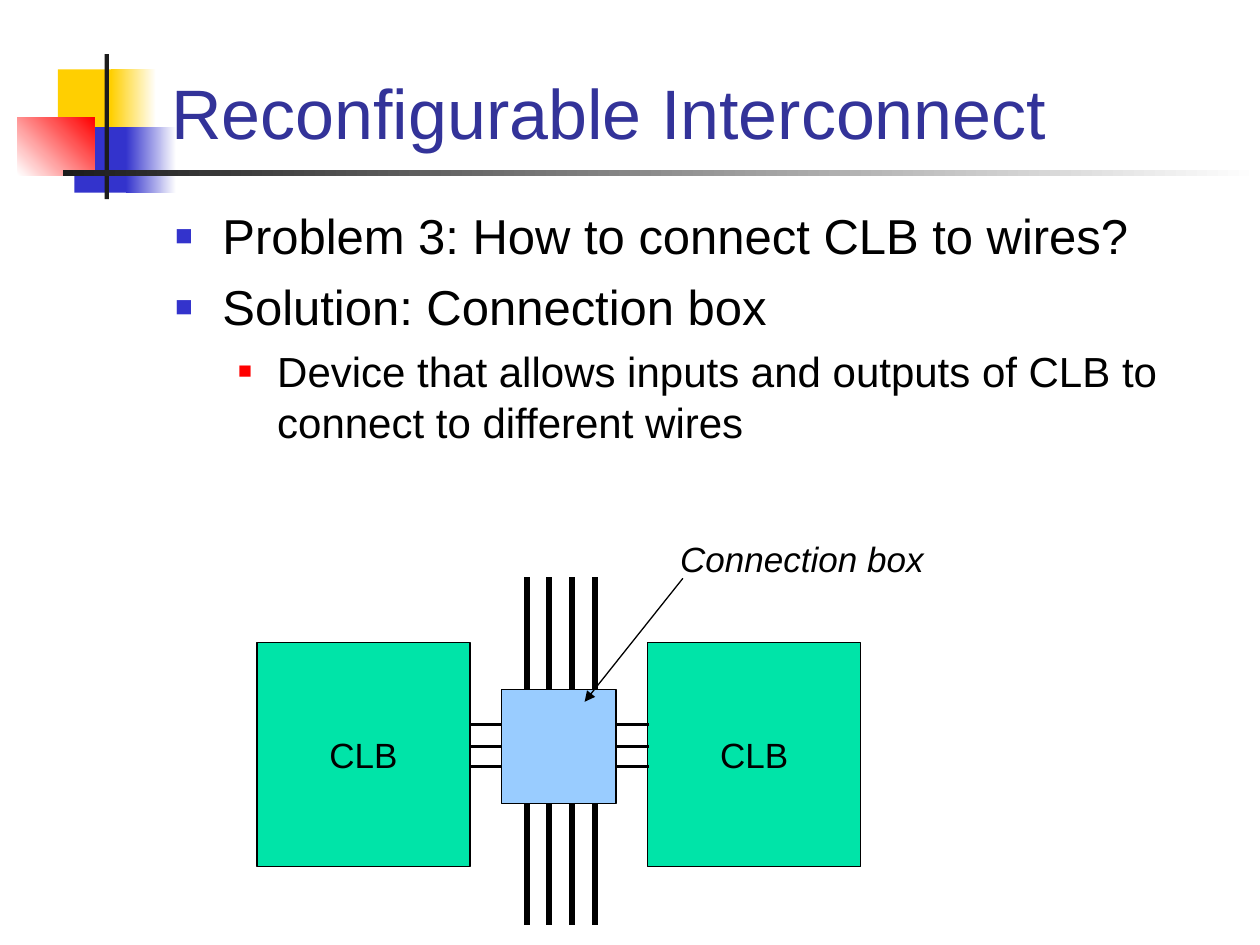
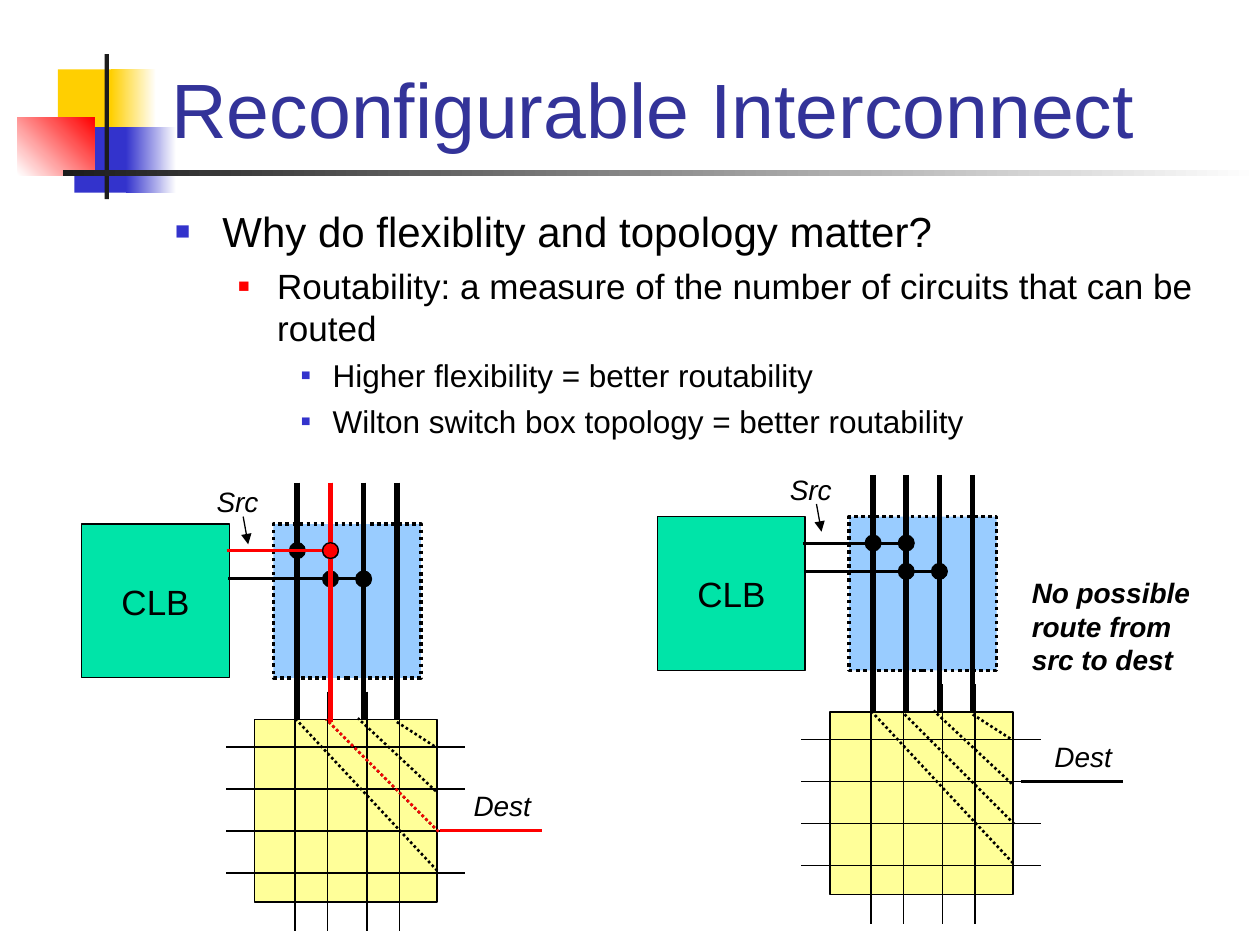
from dataclasses import dataclass
from typing import Any, Optional

from lxml import etree
from pptx import Presentation
from pptx import util as u
from pptx.dml.color import RGBColor
from pptx.enum import dml, shapes, text
from pptx.oxml.ns import qn

FONT = "Arial"
COLORS = {
    "black": "000000", "white": "FFFFFF", "title": "333399",
    "gold": "FFCF01", "blue": "3333CC", "red": "FF0000", "ink": "1C1C1C",
    "clb": "00E4A8", "box": "99CCFF", "switch": "FFFF99",
}

# The slide is a grid of 100 columns by 75 rows
prs = Presentation()
prs.slide_width, prs.slide_height = u.Inches(10), u.Inches(7.5)
COL, ROW = prs.slide_width / 100, prs.slide_height / 75


@dataclass(frozen=True)
class Box:
    x: float
    y: float
    w: float
    h: float

    def emu(self) -> tuple[int, ...]:
        return round(self.x * COL), round(self.y * ROW), round(self.w * COL), round(self.h * ROW)


@dataclass(frozen=True)
class Line:
    x1: float
    y1: float
    x2: float
    y2: float
    width: float = 1
    dash: Optional[Any] = None
    arrow: bool = False


@dataclass(frozen=True)
class Band:
    box: Box
    start: str
    end: Optional[str] = None
    angle: float = 0


@dataclass(frozen=True)
class Level:
    margin: float
    indent: float
    bullet_color: str
    bullet_pct: int


@dataclass(frozen=True)
class Item:
    words: str
    level: int
    size: float
    before: float


BANDS = [
    Band(Box(4.6, 5.5, 4.8, 5.2), "gold"),
    Band(Box(8.8, 5.5, 3.6, 5.2), "gold", "white"),
    Band(Box(5.9, 10.1, 4.6, 5.2), "blue"),
    Band(Box(10, 10.1, 4, 5.2), "blue", "white"),
    Band(Box(1.4, 9.3, 6.1, 4.6), "white", "red", 45),
    Band(Box(8.3, 4.3, 0.35, 11.5), "ink"),
    Band(Box(5, 13.5, 95, 0.47), "ink", "white"),
]
LEVELS = [
    Level(3.75, -3.75, "blue", 60),
    Level(8.1, -3.1, "red", 55),
    Level(12.5, -2.5, "blue", 50),
]


def rgb(name: str) -> RGBColor:
    return RGBColor.from_string(COLORS[name])


def add_run(p: Any, words: str, size: float, color: str = "black",
            bold: bool = False, italic: bool = False) -> None:
    r = p.add_run()
    r.text = words
    f = r.font
    f.name, f.size, f.bold, f.italic = FONT, u.Pt(size), bold, italic
    f.color.rgb = rgb(color)


def add_block(target: Any, box: Box, fill: str, width: float = 0.75,
              kind: Any = shapes.MSO_SHAPE.RECTANGLE, label: str = "") -> Any:
    sp = target.add_shape(kind, *box.emu())
    sp.shadow.inherit = False
    sp.fill.solid()
    sp.fill.fore_color.rgb = rgb(fill)
    if width:
        sp.line.color.rgb = rgb("black")
        sp.line.width = u.Pt(width)
    else:
        sp.line.fill.background()
    if label:
        tf = sp.text_frame
        tf.word_wrap = False
        tf.vertical_anchor = text.MSO_ANCHOR.MIDDLE
        p = tf.paragraphs[0]
        p.alignment = text.PP_ALIGN.CENTER
        add_run(p, label, 20)
    return sp


def add_line(target: Any, line: Line, color: str = "black") -> Any:
    cx = target.add_connector(
        shapes.MSO_CONNECTOR.STRAIGHT, round(line.x1 * COL), round(line.y1 * ROW),
        round(line.x2 * COL), round(line.y2 * ROW))
    cx.line.color.rgb = rgb(color)
    cx.line.width = u.Pt(line.width)
    if line.dash:
        cx.line.dash_style = line.dash
    pr = cx.element.spPr
    if line.arrow:
        etree.SubElement(pr.find(qn("a:ln")), qn("a:tailEnd"), type="triangle")
    etree.SubElement(pr, qn("a:effectLst"))
    return cx


def add_note(target: Any, box: Box, words: str, size: float = 16, bold: bool = False) -> None:
    tf = target.add_textbox(*box.emu()).text_frame
    tf.word_wrap = True
    add_run(tf.paragraphs[0], words, size, bold=bold, italic=True)


def add_bands(s: Any) -> None:
    """Draw the corner ornament and move it behind everything on the master."""
    tree = prs.slide_master.shapes.element
    for i, band in enumerate(BANDS):
        sp = add_block(s.shapes, band.box, band.start, width=0)
        if band.end:
            sp.fill.gradient()
            sp.fill.gradient_angle = band.angle
            for stop, name in zip(sp.fill.gradient_stops, (band.start, band.end)):
                stop.color.rgb = rgb(name)
        sp.element.nvSpPr.cNvPr.set("id", str(50 + i))
        tree.insert(2 + i, sp.element)


def place(sp: Any, box: Box) -> Any:
    sp.left, sp.top, sp.width, sp.height = box.emu()
    tf = sp.text_frame
    tf.word_wrap = True
    tf.auto_size = text.MSO_AUTO_SIZE.NONE
    return tf


def add_bullet(p: Any, level: Level) -> None:
    pr = p._p.get_or_add_pPr()
    pr.set("marL", str(round(level.margin * COL)))
    pr.set("indent", str(round(level.indent * COL)))
    clr = etree.SubElement(pr, qn("a:buClr"))
    etree.SubElement(clr, qn("a:srgbClr"), val=COLORS[level.bullet_color])
    etree.SubElement(pr, qn("a:buSzPct"), val=str(level.bullet_pct * 1000))
    etree.SubElement(pr, qn("a:buFont"), typeface=FONT)
    etree.SubElement(pr, qn("a:buChar"), char="■")


def add_slide(title: str, title_size: float, items: list[Item]) -> Any:
    s = prs.slides.add_slide(prs.slide_layouts[1])
    tf = place(s.shapes.title, Box(12.6, 0.2, 85.2, 12.5))
    tf.vertical_anchor = text.MSO_ANCHOR.BOTTOM
    tf.paragraphs[0].alignment = text.PP_ALIGN.LEFT
    add_run(tf.paragraphs[0], title, title_size, "title")

    tf = place(s.placeholders[1], Box(12.9, 15.8, 85, 51.2))
    for i, item in enumerate(items):
        p = tf.add_paragraph() if i else tf.paragraphs[0]
        p.level = item.level
        add_bullet(p, LEVELS[item.level])
        p.space_before = u.Pt(item.before if i else 0)
        add_run(p, item.words, item.size)
    return s


def draw_connection_box(s: Any) -> None:
    """Two logic blocks joined to the vertical wires by a connection box."""
    sh = s.shapes
    for x in (20.4, 51.4):
        add_block(sh, Box(x, 51, 16.9, 17.8), "clb", label="CLB")
    for i in range(4):
        x = 41.8 + 1.8 * i
        add_line(sh, Line(x, 45.8, x, 73.4, 3.25))
    box = add_block(sh, Box(39.8, 54.7, 9.1, 9.1), "box")
    for i in range(3):
        y = 57.5 + 1.67 * i
        left = add_line(sh, Line(37.3, y, 39.8, y, 2))
        right = add_line(sh, Line(48.9, y, 51.5, y, 2))
        if i == 1:  # the middle pins meet the middle of the box's sides
            left.end_connect(box, 1)
            right.begin_connect(box, 3)
            left.begin_y = right.end_y = left.end_y
    add_note(sh, Box(53, 42.2, 34.8, 4.4), "Connection box", 20)
    add_line(sh, Line(54.2, 45.9, 46.4, 55.7, 0.75, arrow=True))


def draw_routing(s: Any, x: float, y: float, dest: tuple[float, float],
                 src: tuple[float, float], routed: bool) -> None:
    """Logic block, connection box and switch box, measured from the block's corner."""
    dot_size = 1.25

    def at(x1: float, y1: float, x2: float, y2: float, width: float, **style: Any) -> Line:
        return Line(x + x1, y + y1, x + x2, y + y2, width, **style)

    def add_dot(target: Any, wire: Line, pin: Line, color: str) -> None:
        add_block(target, Box(wire.x1 - dot_size / 2, pin.y1 - dot_size / 2, dot_size, dot_size),
                  color, kind=shapes.MSO_SHAPE.OVAL)

    wires = [at(17.1 + 2.63 * i, -3.3, 17.1 + 2.63 * i, 15.7, 3.25) for i in range(4)]
    pins = [at(11.5, 2.1, 19.7, 2.1, 1.75), at(11.6, 4.35, 22.5, 4.35, 1.75)]
    tracks = [at(tx, 13.3, tx, 32.3, 1) for tx in (16.9, 19.5, 22.6, 25.2)]
    tracks += [at(30.4, 17.7 + 3.33 * i, 11.4, 17.7 + 3.33 * i, 1) for i in range(4)]
    dotted = dml.MSO_LINE.ROUND_DOT
    switches = [at(*ends, 1.5, dash=dotted) for ends in (
        (28.3, 24.4, 19.4, 15.5), (28.1, 21.2, 21.9, 15.4),
        (25, 15.7, 28.1, 17.7), (28.2, 27.5, 17, 15.5))]
    dest_wire = at(dest[0], dest[1], dest[0] + 8.1, dest[1], 1.75)

    # Blocks, wires and connection points
    sh = s.shapes
    add_block(sh, Box(x, y, 11.7, 12.2), "clb", label="CLB")
    add_block(sh, Box(x + 15.2, y, 11.7, 12.2), "box", 2).line.dash_style = dotted
    for line in wires + pins:
        add_line(sh, line)
    for row, pin in enumerate(pins):
        for wire in wires[row:row + 2]:
            add_dot(sh, wire, pin, "black")
    add_block(sh, Box(x + 13.7, y + 15.5, 14.5, 14.5), "switch", 1)
    for line in tracks + switches + [dest_wire]:
        add_line(sh, line)

    # Labels
    add_note(sh, Box(x + src[0] - 3.1, y + src[1] - 3, 13.8, 3.7), "Src")
    add_note(sh, Box(x + dest[0] + 1.7, y + dest[1] - 3.8, 13.8, 3.7), "Dest")
    add_line(sh, at(src[0], src[1], src[0] + 0.4, src[1] + 2.2, 0.75, arrow=True))

    # Path found from source to destination
    if routed:
        route = sh.add_group_shape().shapes
        for line in (wires[1], pins[0]):
            add_line(route, line, "red")
        add_dot(route, wires[1], pins[0], "red")
        for line in (switches[0], dest_wire):
            add_line(route, line, "red")


def main() -> None:
    title = "Reconfigurable Interconnect"
    s = add_slide(title, 40, [
        Item("Problem 3: How to connect CLB to wires?", 0, 28, 7),
        Item("Solution: Connection box", 0, 28, 7),
        Item("Device that allows inputs and outputs of CLB to connect to different wires", 1, 24, 6),
    ])
    add_bands(s)
    draw_connection_box(s)

    s = add_slide(title, 44, [
        Item("Why do flexiblity and topology matter?", 0, 24, 6),
        Item("Routability: a measure of the number of circuits that can be routed", 1, 20, 5),
        Item("Higher flexibility = better routability", 2, 18, 4.5),
        Item("Wilton switch box topology = better routability", 2, 18, 4.5),
    ])
    draw_routing(s, 6.5, 41.6, dest=(28.4, 24.3), src=(12.8, -0.6), routed=True)
    draw_routing(s, 52.2, 41, dest=(28.8, 21), src=(12.6, -1), routed=False)
    add_note(s.shapes, Box(80.9, 45.2, 16.8, 9), "No possible route from src to dest", bold=True)

    prs.save("out.pptx")


if __name__ == "__main__":
    main()
